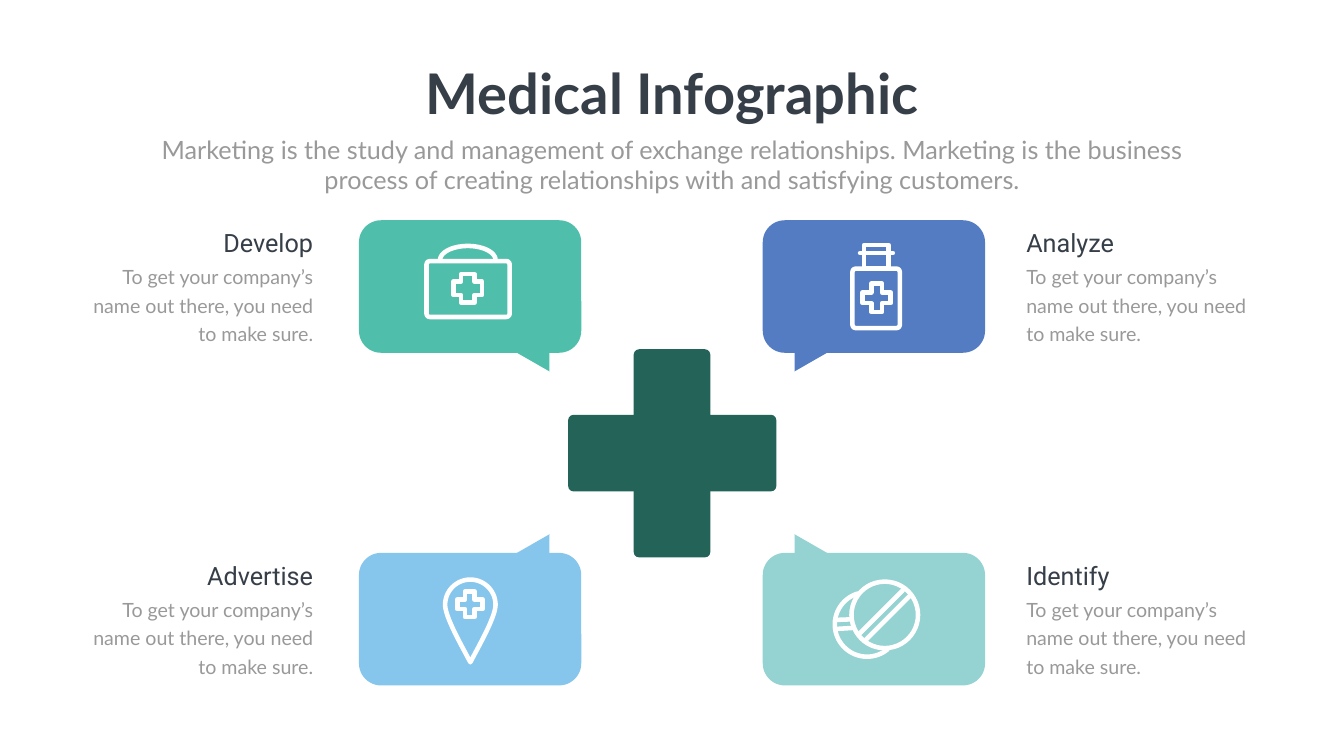
import math
from dataclasses import dataclass

import pptx
import pptx.dml.color
import pptx.enum.shapes
import pptx.enum.text
import pptx.oxml
import pptx.oxml.ns
import pptx.util
from lxml import etree

PX = 9144
PAGE_WIDTH, PAGE_HEIGHT = 2666, 1500
MIRROR_Y = 1797
STROKE = 9

RGB = pptx.dml.color.RGBColor
WHITE = RGB(0xFF, 0xFF, 0xFF)
INK = RGB(0x36, 0x3E, 0x48)
GREY = RGB(0x99, 0x99, 0x99)
DARK_GREEN = RGB(0x24, 0x63, 0x58)
GREEN = RGB(0x4F, 0xBF, 0xAC)
BLUE = RGB(0x54, 0x7C, 0xC2)
SKY = RGB(0x87, 0xC6, 0xEC)
AQUA = RGB(0x95, 0xD2, 0xD2)

SHAPE = pptx.enum.shapes.MSO_SHAPE
ALIGN = pptx.enum.text.PP_ALIGN
Point = tuple[float, float]
Box = tuple[int, int, int, int]


@dataclass(frozen=True)
class Topic:
    heading: str
    color: RGB
    right: bool
    bottom: bool


TOPICS = [
    Topic("Develop", GREEN, False, False),
    Topic("Analyze", BLUE, True, False),
    Topic("Advertise", SKY, False, True),
    Topic("Identify", AQUA, True, True),
]
TOPIC_TEXT = "To get your company’s name out there, you need to make sure."
SUBTITLE = (
    "Marketing is the study and management of exchange relationships. "
    "Marketing is the business process of creating relationships with "
    "and satisfying customers."
)


def emu(box: Box) -> list[int]:
    return [length * PX for length in box]


def paint(shape, color: RGB) -> None:
    shape.shadow.inherit = False
    shape.fill.solid()
    shape.fill.fore_color.rgb = color
    shape.line.fill.background()


def round_line(shape) -> None:
    shape.line.color.rgb = WHITE
    shape.line.width = STROKE * PX
    outline = shape.element.spPr.find(pptx.oxml.ns.qn("a:ln"))
    outline.set("cap", "rnd")
    etree.SubElement(outline, pptx.oxml.ns.qn("a:round"))


def outline_shape(shape) -> None:
    shape.shadow.inherit = False
    shape.fill.background()
    round_line(shape)


def preset(page, kind, box: Box, adjustment: float | None = None):
    shape = page.shapes.add_shape(kind, *emu(box))
    if adjustment is not None:
        shape.adjustments[0] = adjustment
    return shape


def freeform(page, points: list[Point], close: bool):
    scaled = [(x * PX, y * PX) for x, y in points]
    builder = page.shapes.build_freeform(*scaled[0], scale=1.0)
    builder.add_line_segments(scaled[1:], close=close)
    return builder.convert_to_shape()


def stroke(page, start: Point, end: Point) -> None:
    connector = page.shapes.add_connector(
        pptx.enum.shapes.MSO_CONNECTOR.STRAIGHT, *emu((*start, *end))
    )
    round_line(connector)
    etree.SubElement(connector.element.spPr, pptx.oxml.ns.qn("a:effectLst"))


def arc(center: Point, radii: Point, start: int, end: int) -> list[Point]:
    steps = 48
    angles = [math.radians(start + (end - start) * i / steps) for i in range(steps + 1)]
    return [(center[0] + radii[0] * math.cos(a), center[1] + radii[1] * math.sin(a)) for a in angles]


def bezier(*controls: Point) -> list[Point]:
    steps = 20
    points = []
    for step in range(steps + 1):
        t = step / steps
        weights = [math.comb(3, i) * t**i * (1 - t) ** (3 - i) for i in range(4)]
        points.append(tuple(sum(w * c[axis] for w, c in zip(weights, controls)) for axis in (0, 1)))
    return points


def write(box, text: str, font: str, size: int, color: RGB, align, leading: float | None = None,
          bold: bool = False) -> None:
    frame = box.text_frame
    frame.word_wrap = True
    frame.vertical_anchor = pptx.enum.text.MSO_ANCHOR.TOP
    para = frame.paragraphs[0]
    para.alignment = align
    if leading:
        para.line_spacing = pptx.util.Pt(leading)
    span = para.add_run()
    span.text = text
    span.font.name = font
    span.font.size = pptx.util.Pt(size)
    span.font.bold = bold
    span.font.color.rgb = color


def draw_title(page) -> None:
    title = page.shapes.title
    title.left, title.top, title.width, title.height = emu((824, 112, 1019, 145))
    write(title, "Medical Infographic", "Lato", 80, INK, ALIGN.CENTER, bold=True)
    title.text_frame.word_wrap = False
    title.text_frame.auto_size = pptx.enum.text.MSO_AUTO_SIZE.NONE
    subtitle = page.shapes.add_textbox(*emu((292, 261, 2082, 131)))
    write(subtitle, SUBTITLE, "Lato", 36, GREY, ALIGN.CENTER)


def draw_topic(page, topic: Topic) -> None:
    left = 1513 if topic.right else 712
    top = MIRROR_Y - 437 - 263 if topic.bottom else 437
    paint(preset(page, SHAPE.ROUNDED_RECTANGLE, (left, top, 441, 263)), topic.color)
    tail = [
        (PAGE_WIDTH - x if topic.right else x, MIRROR_Y - y if topic.bottom else y)
        for x, y in ((1090, 737), (1089, 651), (1015, 694))
    ]
    paint(freeform(page, tail, True), topic.color)
    text_left = 2026 if topic.right else 154
    align = ALIGN.LEFT if topic.right else ALIGN.RIGHT
    heading = page.shapes.add_textbox(*emu((text_left, top + 9, 477, 71)))
    write(heading, topic.heading, "Roboto", 36, INK, align)
    body = page.shapes.add_textbox(*emu((text_left, top + 74, 477, 177)))
    write(body, TOPIC_TEXT, "Lato", 28, GREY, align, leading=40.8)


def draw_bag(page) -> None:
    outline_shape(preset(page, SHAPE.ROUNDED_RECTANGLE, (846, 518, 165, 111), 0.06))
    outline_shape(freeform(page, arc((928, 516), (55, 28), 180, 360), False))
    outline_shape(preset(page, SHAPE.CROSS, (900, 544, 56, 56), 0.26))


def draw_bottle(page) -> None:
    outline_shape(preset(page, SHAPE.ROUNDED_RECTANGLE, (1691, 533, 94, 118), 0.07))
    outline_shape(preset(page, SHAPE.RECTANGLE, (1714, 486, 48, 47)))
    stroke(page, (1706, 502), (1771, 502))
    outline_shape(preset(page, SHAPE.CROSS, (1711, 563, 56, 56), 0.31))


def draw_pin(page) -> None:
    side = bezier((983, 1200), (983, 1225), (948, 1285), (933, 1314))
    mirrored = [(2 * 933 - x, y) for x, y in reversed(side)]
    top = arc((933, 1200), (50, 50), 180, 360)
    outline_shape(freeform(page, top + side[1:] + mirrored[1:-1], True))
    outline_shape(preset(page, SHAPE.CROSS, (907, 1174, 50, 50), 0.31))


def draw_pills(page) -> None:
    outline_shape(preset(page, SHAPE.OVAL, (1689, 1154, 132, 132)))
    outline_shape(freeform(page, arc((1720, 1239), (64, 64), 254, 51), False))
    for start, end in (
        ((1791, 1171), (1705, 1257)),
        ((1804, 1183), (1718, 1269)),
        ((1657, 1230), (1685, 1229)),
        ((1657, 1248), (1690, 1246)),
    ):
        stroke(page, start, end)


def main() -> None:
    deck = pptx.Presentation()
    deck.slide_width, deck.slide_height = PAGE_WIDTH * PX, PAGE_HEIGHT * PX
    page = deck.slides.add_slide(deck.slide_layouts.get_by_name("Title Only"))
    draw_title(page)
    for box in ((1257, 693, 152, 413), (1127, 823, 413, 152)):
        paint(preset(page, SHAPE.ROUNDED_RECTANGLE, box, 0.07), DARK_GREEN)
    for topic in TOPICS:
        draw_topic(page, topic)
    for draw_icon in (draw_bag, draw_bottle, draw_pin, draw_pills):
        draw_icon(page)
    deck.save("out.pptx")


if __name__ == "__main__":
    main()
